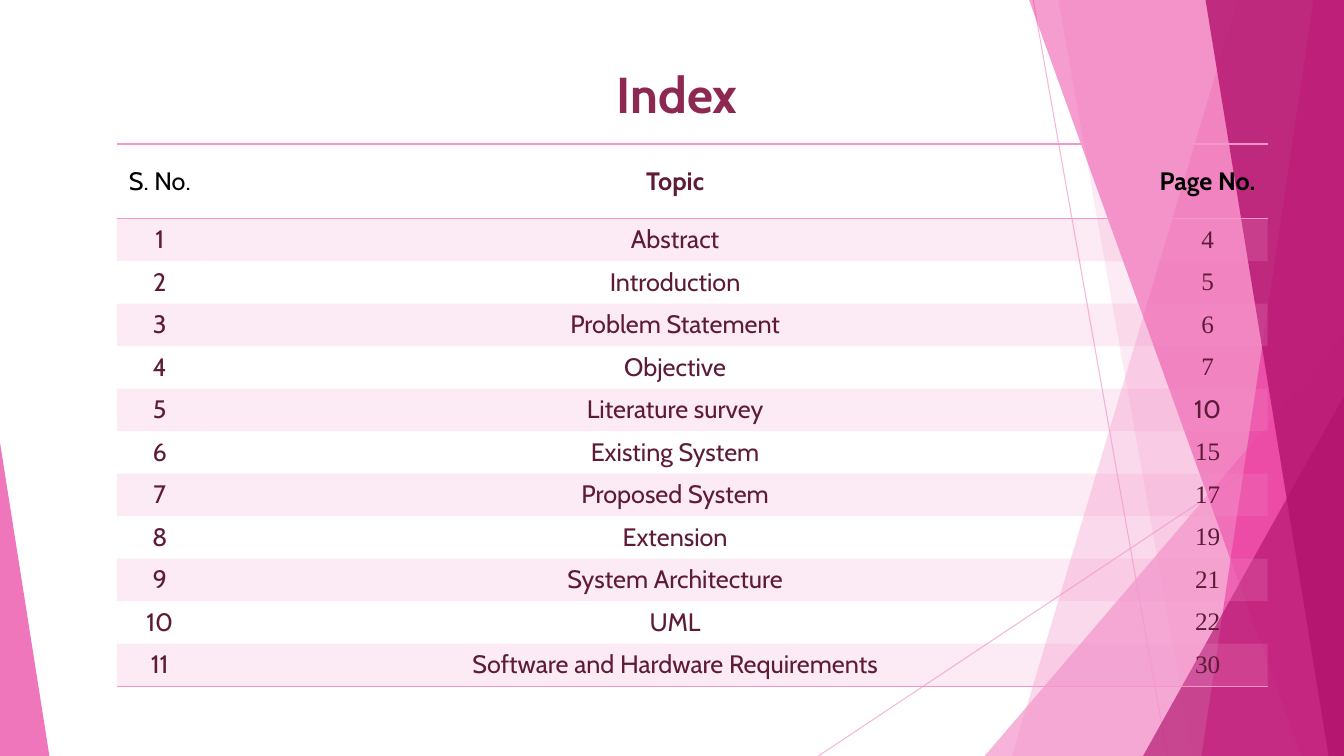
from dataclasses import dataclass
from typing import Any

from lxml.etree import SubElement
from pptx import Presentation
from pptx.dml.color import RGBColor
from pptx.enum.shapes import MSO_CONNECTOR, MSO_SHAPE
from pptx.enum.text import MSO_ANCHOR, PP_ALIGN
from pptx.oxml.ns import qn
from pptx.util import Pt

HUES = {
    "pink": "F496CB",
    "rose": "EB3D9F",
    "wine": "B2136D",
    "title": "8D2853",
    "text": "5E1B38",
    "black": "000000",
}
WIDE, HIGH = 960, 540
SANS, SERIF = "Cabin", "Times New Roman"
PLAIN = "{2D5ABB26-0587-4C30-8999-92F81FD0307C}"


@dataclass
class Ray:
    start: tuple[float, float]
    end: tuple[float, float]
    hue: str
    alpha: int


@dataclass
class Wedge:
    top: float
    foot: float
    hue: str
    alpha: int


@dataclass
class Peak:
    left: float
    top: float
    width: float
    tip: float
    hue: str
    alpha: int


@dataclass
class Entry:
    topic: str
    page: str
    face: str = SERIF


DECOR = [
    Ray((738, 0), (833.8, HIGH), "pink", 70),
    Ray((WIDE, 290.2), (584.6, HIGH), "pink", 70),
    Wedge(884.2, 722.9, "pink", 36),
    Wedge(756, 851.8, "pink", 20),
    Peak(703.4, 239.8, 256.6, 1, "pink", 72),
    Wedge(735.1, 929.5, "rose", 50),
    Wedge(938.2, 858.2, "rose", 70),
    Wedge(861.1, 949, "wine", 80),
    Peak(816.5, 283, 143.5, 1, "wine", 66),
    Peak(0, 316.1, 35.3, 0, "rose", 70),
]
ENTRIES = [
    Entry("Abstract", "4"),
    Entry("Introduction", "5"),
    Entry("Problem Statement", "6"),
    Entry("Objective", "7"),
    Entry("Literature survey", "10", SANS),
    Entry("Existing System", "15"),
    Entry("Proposed System", "17"),
    Entry("Extension", "19"),
    Entry("System Architecture", "21"),
    Entry("UML", "22"),
    Entry("Software and Hardware Requirements", "30"),
]


def apply(item: Any, form: dict[str, Any]) -> None:
    for key, value in form.items():
        setattr(item, key, value)


def tint(hue: str) -> RGBColor:
    return RGBColor.from_string(HUES[hue])


def fade(node: Any, alpha: int) -> None:
    color = next(node.iter(qn("a:srgbClr")))
    SubElement(color, qn("a:alpha"), val=str(alpha * 1000))


def write(frame: Any, text: str, hue: str, form: dict[str, Any]) -> None:
    frame.text = text
    para = frame.paragraphs[0]
    para.alignment = PP_ALIGN.CENTER
    font = para.runs[0].font
    apply(font, form)
    font.color.rgb = tint(hue)


def draw(shapes: Any, item: Ray | Wedge | Peak) -> None:
    if isinstance(item, Ray):
        ends = [Pt(n) for n in item.start + item.end]
        line = shapes.add_connector(MSO_CONNECTOR.STRAIGHT, *ends)
        line.line.width = Pt(0.75)
        line.line.color.rgb = tint(item.hue)
        props = line._element.spPr
        SubElement(props, qn("a:effectLst"))
        fade(props, item.alpha)
        return
    if isinstance(item, Wedge):
        pen = shapes.build_freeform(Pt(item.top), 0)
        spots = [(WIDE, 0), (WIDE, HIGH), (item.foot, HIGH)]
        pen.add_line_segments([(Pt(x), Pt(y)) for x, y in spots])
        shape = pen.convert_to_shape()
    else:
        box = (item.left, item.top, item.width, HIGH - item.top)
        shape = shapes.add_shape(MSO_SHAPE.ISOSCELES_TRIANGLE, *map(Pt, box))
        shape.adjustments[0] = item.tip
    shape.shadow.inherit = False
    shape.fill.solid()
    shape.fill.fore_color.rgb = tint(item.hue)
    shape.line.fill.background()
    fade(shape._element.spPr, item.alpha)


def edge(cell: Any, side: str) -> None:
    props = cell._tc.get_or_add_tcPr()
    line = SubElement(props, qn(f"a:ln{side}"), w=str(Pt(1)))
    fill = SubElement(line, qn("a:solidFill"))
    SubElement(fill, qn("a:srgbClr"), val=HUES["pink"])


def shade(cell: Any, band: bool) -> None:
    if band:
        cell.fill.solid()
        cell.fill.fore_color.rgb = tint("pink")
        fade(cell._tc.tcPr.find(qn("a:solidFill")), 20)
    else:
        cell.fill.background()


def build(shapes: Any) -> None:
    heads = [
        ("S. No.", "black", SANS, False),
        ("Topic", "text", SANS, True),
        ("Page No.", "black", SANS, True),
    ]
    rows = [heads] + [
        [
            (str(num), "text", SANS, False),
            (item.topic, "text", SANS, False),
            (item.page, "text", item.face, False),
        ]
        for num, item in enumerate(ENTRIES, 1)
    ]
    box = map(Pt, (83.5, 102.8, 822, 387.4))
    table = shapes.add_table(len(rows), len(heads), *box).table
    table._tbl.tblPr.find(qn("a:tableStyleId")).text = PLAIN
    for col, width in zip(table.columns, (61.2, 675, 85.8)):
        col.width = Pt(width)
    for i, row in enumerate(rows):
        table.rows[i].height = Pt(30.36 if i else 53.4)
        sides = "TB" if i == 0 else "B" if i == len(ENTRIES) else ""
        for j, (text, hue, face, bold) in enumerate(row):
            cell = table.cell(i, j)
            cell.vertical_anchor = MSO_ANCHOR.MIDDLE
            for side in sides:
                edge(cell, side)
            shade(cell, i % 2 == 1)
            form = {"name": face, "size": Pt(18), "bold": bold}
            write(cell.text_frame, text, hue, form)


def main() -> None:
    deck = Presentation()
    apply(deck, {"slide_width": Pt(WIDE), "slide_height": Pt(HIGH)})
    slide = deck.slides.add_slide(deck.slide_layouts[5])
    shapes = slide.shapes
    for item in DECOR:
        draw(shapes, item)
    title = shapes.title
    place = {"left": 145.4, "top": 37.4, "width": 676.8, "height": 59}
    apply(title, {key: Pt(value) for key, value in place.items()})
    title.text_frame.vertical_anchor = MSO_ANCHOR.MIDDLE
    form = {"name": SANS, "size": Pt(36), "bold": True}
    write(title.text_frame, "Index", "title", form)
    shapes._spTree.append(title._element)
    build(shapes)
    deck.save("out.pptx")


if __name__ == "__main__":
    main()
